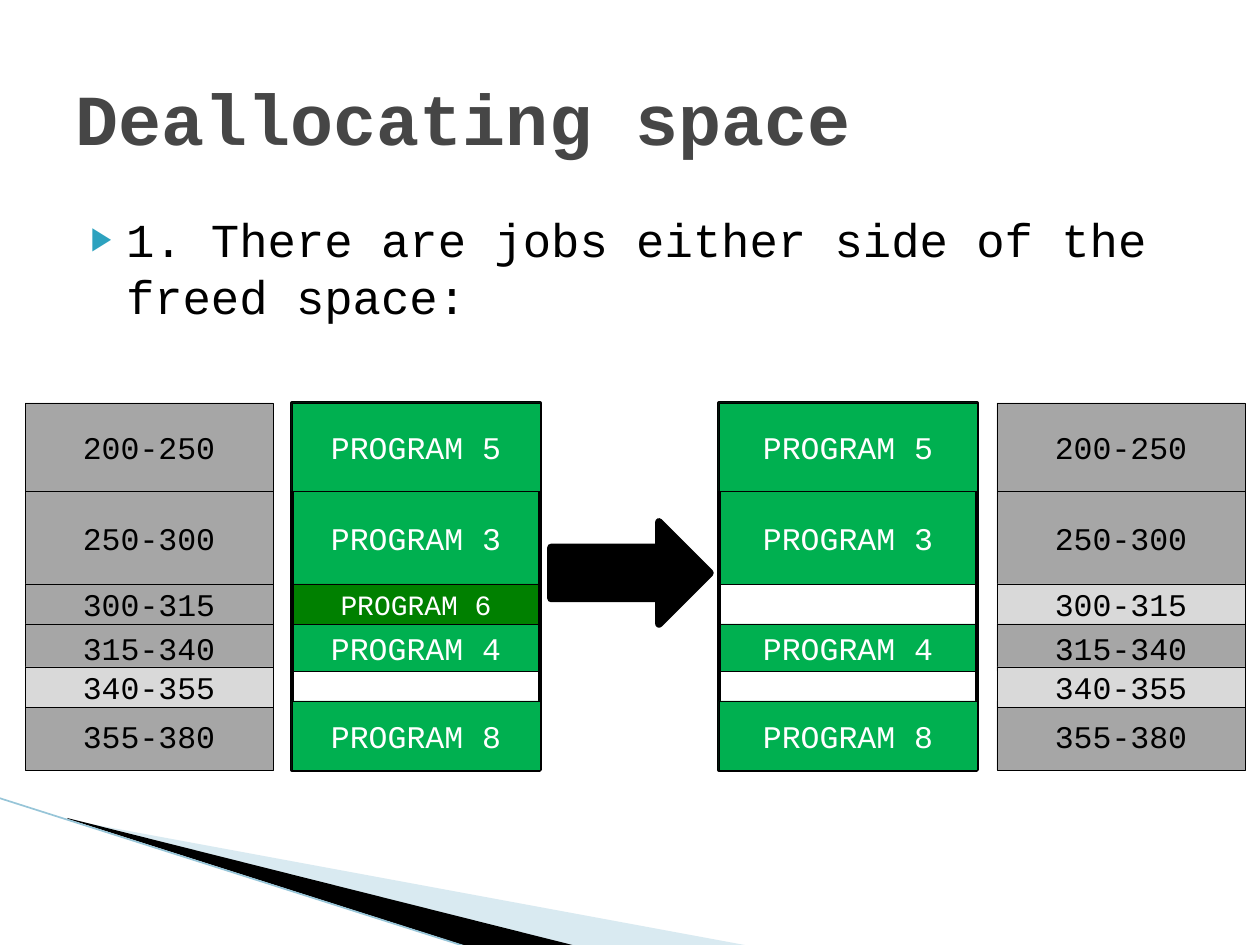
from lxml import etree
from pptx import Presentation, util as u
from pptx.dml.color import RGBColor
from pptx.enum import shapes, text
from pptx.oxml.ns import qn

PIXEL = u.Inches(1) // 126
THEME = {
    "font": "Courier New", "title": "464646", "ink": "000000", "light": "FFFFFF",
    "bullet": "2DA2BF", "program": "00B050", "leaving": "008000",
    "used": "A6A6A6", "free": "D9D9D9", "pale": "A0CBDC", "edge": "97C5D8",
    "title_size": 41, "body_size": 27, "cell_size": 18, "small_size": 16,
}

TITLE = ("Deallocating space", (63, 38, 1134, 157))
BODY = ("1. There are jobs either side of the freed space:", (63, 204, 1134, 624))

# Memory rows: top and height
ROWS = {
    "200-250": (403, 88), "250-300": (491, 93), "300-315": (584, 40),
    "315-340": (624, 47), "355-380": (701, 69), "340-355": (667, 40),
}
FRAME_TOP, FRAME_HEIGHT = 403, 367
INNER_JOBS = {"250-300": "PROGRAM 3", "315-340": "PROGRAM 4"}
OUTER_JOBS = {"200-250": "PROGRAM 5", "355-380": "PROGRAM 8"}
LEAVING_JOB = {"300-315": "PROGRAM 6"}

# Left, width, free rows of the address columns; left, width, leaving job of memory
ADDRESS_COLUMNS = [(25, 248, {"340-355"}), (997, 248, {"300-315", "340-355"})]
MEMORY_COLUMNS = [(292, 248, LEAVING_JOB), (719, 258, {})]
ARROW = (551, 522, 159, 102)

# Corner wedges: points, colour, opacity in percent
WEDGES = [
    ([(69, 820), (750, 946), (575, 946), (69, 819)], "pale", 40),
    ([(67, 818), (576, 946), (469, 947), (68, 819)], "ink", 100),
]
EDGE = (-1, 798, 467, 947)


def pixels(values):
    """Turn pixel lengths into EMU."""
    return [value * PIXEL for value in values]


def color(name):
    """Look up a theme colour."""
    return RGBColor.from_string(THEME[name])


def apply(target, values):
    """Set attributes from a dict."""
    for name, value in values.items():
        setattr(target, name, value)


def write(shape, content, size, ink, bold=False, align=text.PP_ALIGN.CENTER,
          anchor=text.MSO_ANCHOR.MIDDLE):
    """Put one formatted paragraph into a shape and return it."""
    apply(shape.text_frame, {"text": content, "word_wrap": True,
                             "auto_size": text.MSO_AUTO_SIZE.NONE,
                             "vertical_anchor": anchor})
    paragraph = shape.text_frame.paragraphs[0]
    paragraph.alignment = align
    font = paragraph.runs[0].font
    apply(font, {"name": THEME["font"], "size": u.Pt(THEME[size]), "bold": bold})
    font.color.rgb = color(ink)
    return paragraph


def fill_placeholder(shape, content, box, **style):
    """Place and fill a template placeholder."""
    apply(shape, dict(zip(("left", "top", "width", "height"), pixels(box))))
    return write(shape, content, align=text.PP_ALIGN.LEFT, **style)


def add_bullet(paragraph):
    """Give a paragraph the hanging triangle bullet."""
    paragraph.space_before = u.Pt(4)
    properties = paragraph._p.get_or_add_pPr()
    properties.set("marL", str(u.Inches(0.4)))
    properties.set("indent", str(u.Inches(-0.28)))
    bullet_color = etree.SubElement(properties, qn("a:buClr"))
    etree.SubElement(bullet_color, qn("a:srgbClr"), val=THEME["bullet"])
    etree.SubElement(properties, qn("a:buSzPct"), val="68000")
    etree.SubElement(properties, qn("a:buChar"), char="▶")


def add_block(slide, kind, box, fill, line_width):
    """Draw a preset shape with a black outline."""
    shape = slide.shapes.add_shape(kind, *pixels(box))
    shape.shadow.inherit = False
    if fill:
        shape.fill.solid()
        shape.fill.fore_color.rgb = color(fill)
    else:
        shape.fill.background()
    shape.line.color.rgb = color("ink")
    shape.line.width = u.Pt(line_width)
    return shape


def add_cell(slide, left, width, row, content, fill, ink, size="cell_size"):
    """Draw one labelled memory row."""
    top, height = ROWS[row]
    cell = add_block(slide, shapes.MSO_SHAPE.RECTANGLE, (left, top, width, height), fill, 0.25)
    write(cell, content, size, ink)


def add_memory(slide, left, width, leaving):
    """Draw the jobs in memory and the frame round them."""
    for row, job in INNER_JOBS.items():
        add_cell(slide, left, width, row, job, "program", "light")
    for row, job in leaving.items():
        add_cell(slide, left, width, row, job, "leaving", "light", "small_size")
    add_block(slide, shapes.MSO_SHAPE.RECTANGLE,
              (left, FRAME_TOP, width, FRAME_HEIGHT), None, 2.25)
    for row, job in OUTER_JOBS.items():
        add_cell(slide, left, width, row, job, "program", "light")


def add_wedge(slide, points, fill, opacity):
    """Draw a corner wedge."""
    builder = slide.shapes.build_freeform(*points[0], scale=PIXEL)
    builder.add_line_segments(points[1:])
    wedge = builder.convert_to_shape()
    wedge.shadow.inherit = False
    wedge.line.fill.background()
    wedge.fill.solid()
    wedge.fill.fore_color.rgb = color(fill)
    if opacity < 100:
        tint = wedge._element.spPr.find(".//" + qn("a:srgbClr"))
        etree.SubElement(tint, qn("a:alpha"), val=str(opacity * 1000))


def add_edge(slide):
    """Draw the thin line along the corner wedges."""
    edge = slide.shapes.add_connector(shapes.MSO_CONNECTOR.STRAIGHT, *pixels(EDGE))
    edge.line.color.rgb = color("edge")
    edge.line.width = u.Pt(0.95)
    etree.SubElement(edge._element.spPr, qn("a:effectLst"))


def main():
    """Build and save the slide."""
    presentation = Presentation()
    apply(presentation, {"slide_width": u.Inches(10), "slide_height": u.Inches(7.5)})
    slide = presentation.slides.add_slide(presentation.slide_layouts[1])
    for wedge in WEDGES:
        add_wedge(slide, *wedge)
    add_edge(slide)
    fill_placeholder(slide.shapes.title, *TITLE, size="title_size", ink="title", bold=True)
    add_bullet(fill_placeholder(slide.placeholders[1], *BODY, size="body_size", ink="ink",
                                anchor=text.MSO_ANCHOR.TOP))
    for column in MEMORY_COLUMNS:
        add_memory(slide, *column)
    add_block(slide, shapes.MSO_SHAPE.RIGHT_ARROW, ARROW, "ink", 4.33)
    for left, width, free_rows in ADDRESS_COLUMNS:
        for row in ROWS:
            add_cell(slide, left, width, row, row, "free" if row in free_rows else "used", "ink")
    presentation.save("out.pptx")


main()
